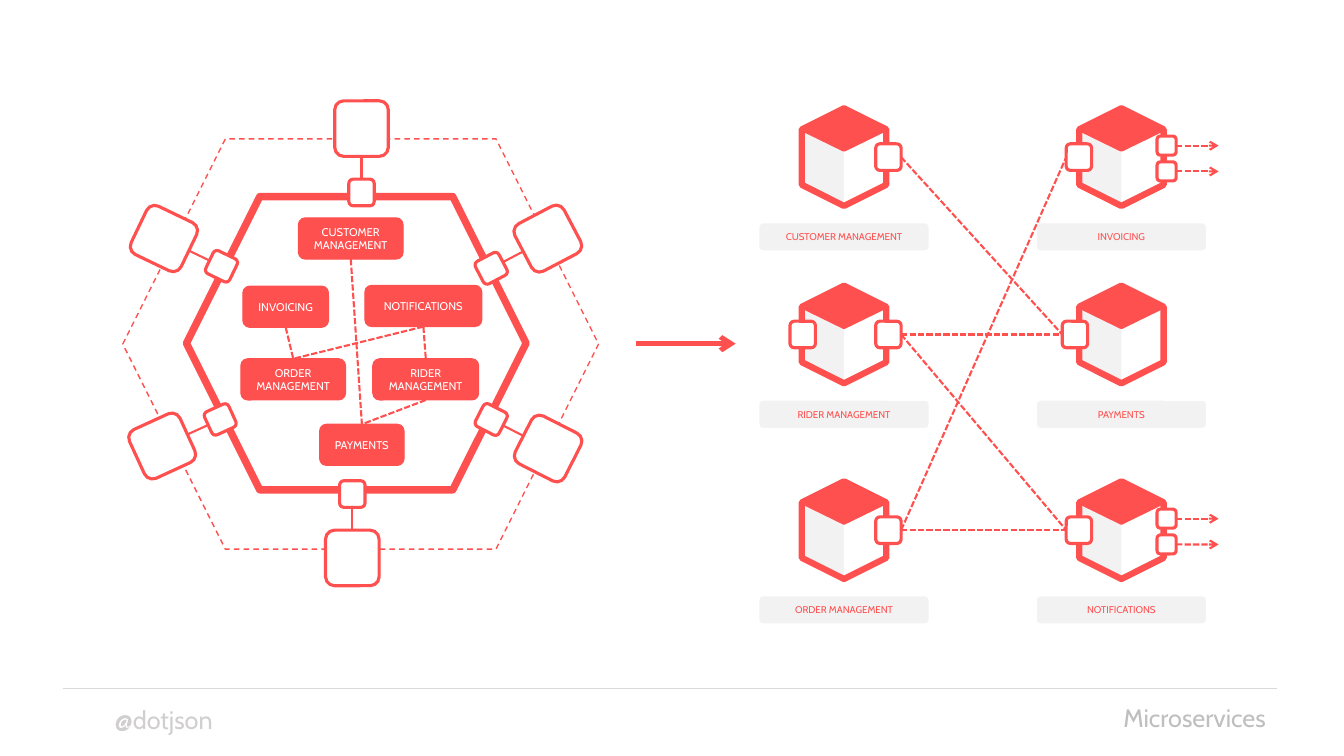
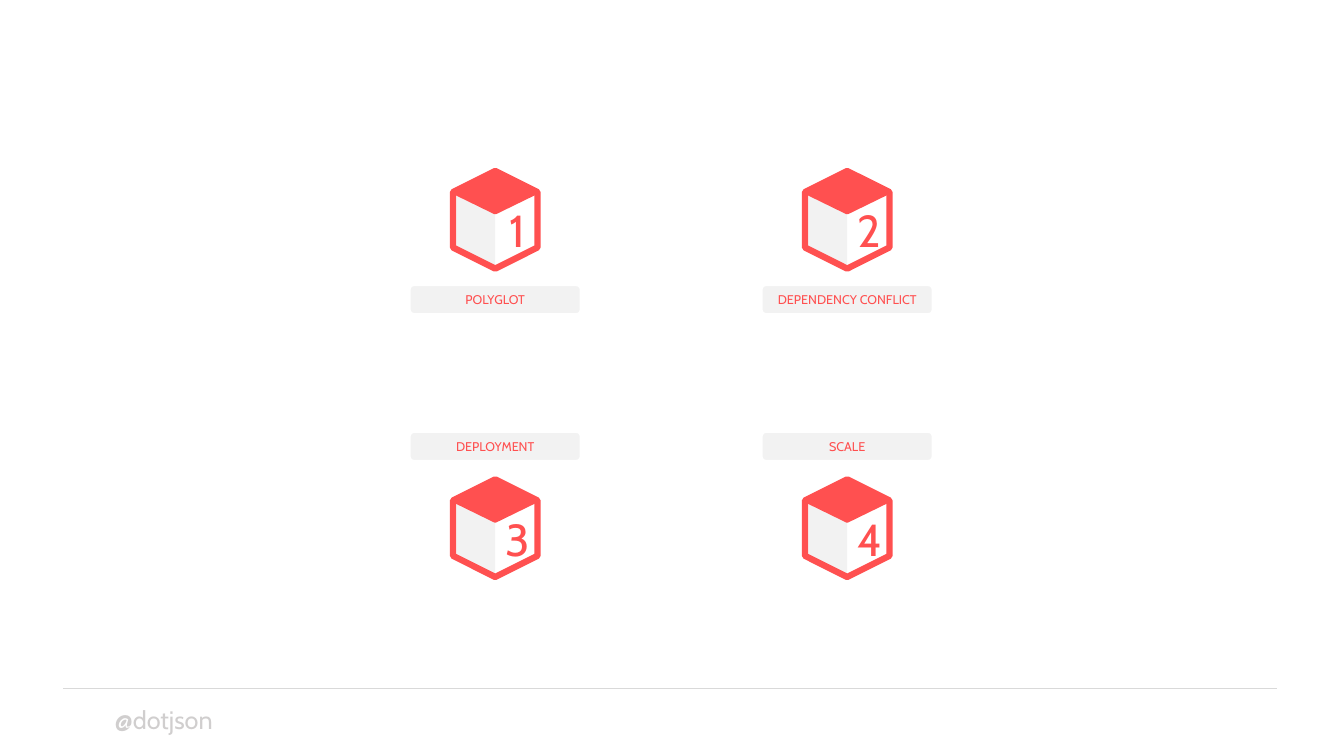
"""Build two slides on microservices: splitting a monolith, and four benefits."""
import math

import pptx
import pptx.dml.color
import pptx.enum.dml
import pptx.enum.shapes
import pptx.enum.text
import pptx.oxml.ns
import pptx.oxml.xmlchemy
import pptx.util

Cm = pptx.util.Cm
Pt = pptx.util.Pt
SHAPE = pptx.enum.shapes.MSO_SHAPE
ALIGN = pptx.enum.text.PP_ALIGN
DASH = pptx.enum.dml.MSO_LINE

RED = pptx.dml.color.RGBColor(0xFF, 0x50, 0x50)
WHITE = pptx.dml.color.RGBColor(0xFF, 0xFF, 0xFF)
PALE = pptx.dml.color.RGBColor(0xF2, 0xF2, 0xF2)
RULE = pptx.dml.color.RGBColor(0xD9, 0xD9, 0xD9)
HANDLE = pptx.dml.color.RGBColor(0xD0, 0xCE, 0xCE)
TOPIC = pptx.dml.color.RGBColor(0xBF, 0xBF, 0xBF)
FONT = "Cabin"

TOP, LEFT, BOTTOM, RIGHT = range(4)
PORT_SIZE = (0.64, 0.67)
OUTLET_SIZE = (0.48, 0.48)
ADAPTER_SIZE = (1.35, 1.4)
ADAPTER_DISTANCE = 1.61
OUTLET_OFFSETS = (-0.29, 0.36)
OUTLET_END = 30.71
FACE = ((0, 1.17), (0, -0.15), (-0.98, -0.61), (-0.98, 0.66))

COLUMNS = (21.27, 28.26)
ROWS = (3.96, 8.43, 13.36)
SERVICES = {
    "customer": ("CUSTOMER MANAGEMENT", 0, 0, {"right": 1.12}),
    "invoicing": ("INVOICING", 1, 0, {"left": -1.07}),
    "rider": ("RIDER MANAGEMENT", 0, 1, {"right": 1.12, "left": -1.04}),
    "order": ("ORDER MANAGEMENT", 0, 2, {"right": 1.12}),
    "payments": ("PAYMENTS", 1, 1, {"left": -1.17}),
    "notifications": ("NOTIFICATIONS", 1, 2, {"left": -1.07}),
}
SERVICE_LINKS = (
    ("rider", "payments"),
    ("customer", "payments"),
    ("order", "invoicing"),
    ("rider", "notifications"),
    ("order", "notifications"),
)
SERVICES_WITH_OUTLETS = ("notifications", "invoicing")

MODULES = {
    "customer": ("CUSTOMER MANAGEMENT", 8.84, 6.01, 2.64),
    "invoicing": ("INVOICING", 7.2, 7.73, 2.16),
    "notifications": ("NOTIFICATIONS", 10.67, 7.71, 2.95),
    "payments": ("PAYMENTS", 9.12, 11.21, 2.13),
    "order": ("ORDER MANAGEMENT", 7.39, 9.56, 2.64),
    "rider": ("RIDER MANAGEMENT", 10.73, 9.56, 2.67),
}
MODULE_LINKS = (
    ("rider", "payments"),
    ("invoicing", "order"),
    ("customer", "payments"),
    ("notifications", "rider"),
    ("notifications", "order"),
)
ADAPTERS = (
    (8.88, 12.45, 0),
    (12.38, 10.57, 297),
    (12.38, 6.76, 242.3),
    (5.55, 10.57, 65.4),
    (5.58, 6.71, 115.7),
    (9.11, 4.85, 180),
)

BENEFITS = ("POLYGLOT", "DEPENDENCY CONFLICT", "DEPLOYMENT", "SCALE")
BENEFIT_COLUMNS = (12.48, 21.35)
BENEFIT_ROWS = ((5.54, 2.01), (13.31, -2.06))


def write(shape, text, size, color, align=ALIGN.CENTER):
    """Put one formatted run into a shape."""
    frame = shape.text_frame
    frame.word_wrap = True
    frame.vertical_anchor = pptx.enum.text.MSO_ANCHOR.MIDDLE
    para = frame.paragraphs[0]
    para.alignment = align
    span = para.add_run()
    span.text = text
    span.font.size = Pt(size)
    span.font.name = FONT
    span.font.color.rgb = color


def add_text(page, left, top, width, height, *style):
    """Add a text box with one run."""
    box = page.shapes.add_textbox(Cm(left), Cm(top), Cm(width), Cm(height))
    write(box, *style)


def add_centred(page, kind, x, y, size, fill, line, weight, rotation=0):
    """Add a preset shape around its centre."""
    width, height = size
    shape = page.shapes.add_shape(
        kind, Cm(x - width / 2), Cm(y - height / 2), Cm(width), Cm(height))
    shape.shadow.inherit = False
    shape.rotation = rotation
    if fill is None:
        shape.fill.background()
    else:
        shape.fill.solid()
        shape.fill.fore_color.rgb = fill
    shape.line.color.rgb = line
    shape.line.width = Pt(weight)
    return shape


def add_port(page, x, y, size, rotation=0):
    """Add a white rounded square with a red outline."""
    return add_centred(page, SHAPE.ROUNDED_RECTANGLE, x, y, size, WHITE, RED, 2.25, rotation)


def add_line(page, start, end, color=RED, weight=1.5, dash=None, arrow=False):
    """Add a straight connector between two points in centimetres."""
    line = page.shapes.add_connector(
        pptx.enum.shapes.MSO_CONNECTOR.STRAIGHT, *map(Cm, start + end))
    line.line.color.rgb = color
    line.line.width = Pt(weight)
    if dash is not None:
        line.line.dash_style = dash
    properties = line._element.spPr
    if arrow:
        tail = pptx.oxml.xmlchemy.OxmlElement("a:tailEnd")
        tail.set("type", "arrow")
        properties.find(pptx.oxml.ns.qn("a:ln")).append(tail)
    properties.append(pptx.oxml.xmlchemy.OxmlElement("a:effectLst"))
    return line


def add_link(page, first, first_side, second, second_side):
    """Join two shapes with a dashed line."""
    line = add_line(page, (0, 0), (1, 1), dash=DASH.SQUARE_DOT)
    line.begin_connect(first, first_side)
    line.end_connect(second, second_side)


def add_cube(page, x, y, label, label_size, label_offset=2.01):
    """Add a cube and its name plate."""
    corners = [(Cm(x + dx), Cm(y + dy)) for dx, dy in FACE]
    builder = page.shapes.build_freeform(*corners[0])
    builder.add_line_segments(corners[1:], close=True)
    face = builder.convert_to_shape()
    face.shadow.inherit = False
    face.fill.solid()
    face.fill.fore_color.rgb = PALE
    face.line.fill.background()
    add_centred(page, SHAPE.HEXAGON, x, y, (2.46, 2.13), None, RED, 4.5, 90)
    lid = add_centred(page, SHAPE.HEXAGON, x, y - 0.71, (1.04, 2.13), RED, RED, 3, 90)
    lid.adjustments[0] = 0.5
    plate = add_centred(page, SHAPE.ROUNDED_RECTANGLE, x, y + label_offset,
                        (4.34, 0.76), PALE, WHITE, 2.25)
    write(plate, label, label_size, RED)


def add_page(deck):
    """Add a page with the shared footer."""
    page = deck.slides.add_slide(deck.slide_layouts[6])
    add_line(page, (1.6, 17.35), (32.18, 17.35), RULE, 1)
    add_text(page, 2.64, 17.63, 5.41, 1.02, "@dotjson", 18, HANDLE, ALIGN.LEFT)
    return page


def add_adapter(page, x, y, angle):
    """Add a port and the adapter that stands outward from it."""
    across, down = -math.sin(math.radians(angle)), math.cos(math.radians(angle))

    def outward(distance):
        return x + distance * across, y + distance * down

    port = add_port(page, x, y, PORT_SIZE, angle)
    adapter = add_port(page, *outward(ADAPTER_DISTANCE), ADAPTER_SIZE, angle)
    start = outward(PORT_SIZE[1] / 2)
    end = outward(ADAPTER_DISTANCE - ADAPTER_SIZE[1] / 2)
    line = add_line(page, start, end)
    line.begin_connect(port, BOTTOM)
    line.end_connect(adapter, TOP)
    line.begin_x, line.begin_y = map(Cm, start)
    line.end_x, line.end_y = map(Cm, end)


def add_monolith(page):
    """Draw the hexagonal monolith with its modules and adapters."""
    add_centred(page, SHAPE.HEXAGON, 8.98, 8.65, (8.56, 7.39), None, RED, 5.25)
    modules = {}
    for key, (label, x, y, width) in MODULES.items():
        modules[key] = add_centred(page, SHAPE.ROUNDED_RECTANGLE, x, y,
                                   (width, 1.04), RED, RED, 0.75)
        write(modules[key], label, 8, WHITE)
    for upper, lower in MODULE_LINKS:
        add_link(page, modules[upper], BOTTOM, modules[lower], TOP)
    border = add_centred(page, SHAPE.HEXAGON, 9.09, 8.67, (11.99, 10.34), None, RED, 1)
    border.line.dash_style = DASH.DASH
    for adapter in ADAPTERS:
        add_adapter(page, *adapter)


def add_services(page):
    """Draw the separate services and the calls between them."""
    ports = {}
    for key, (label, column, row, sides) in SERVICES.items():
        x, y = COLUMNS[column], ROWS[row]
        add_cube(page, x, y, label, 7)
        for side, offset in sides.items():
            ports[key, side] = add_port(page, x + offset, y, PORT_SIZE)
    for caller, target in SERVICE_LINKS:
        add_link(page, ports[caller, "right"], RIGHT, ports[target, "left"], LEFT)
    for key in SERVICES_WITH_OUTLETS:
        label, column, row, sides = SERVICES[key]
        for offset in OUTLET_OFFSETS:
            x, y = COLUMNS[column] + 1.14, ROWS[row] + offset
            outlet = add_port(page, x, y, OUTLET_SIZE)
            line = add_line(page, (x, y), (OUTLET_END, y), dash=DASH.SQUARE_DOT, arrow=True)
            line.begin_connect(outlet, RIGHT)


def add_benefits(page):
    """Draw the four numbered cubes."""
    for index, label in enumerate(BENEFITS):
        row, column = divmod(index, len(BENEFIT_COLUMNS))
        x = BENEFIT_COLUMNS[column]
        y, label_offset = BENEFIT_ROWS[row]
        add_cube(page, x, y, label, 9, label_offset)
        add_text(page, x - 0.73, y - 0.92, 2.59, 2.34, str(index + 1), 32, RED)


def main():
    """Build and save the deck."""
    deck = pptx.Presentation()
    deck.slide_width, deck.slide_height = Cm(33.87), Cm(19.05)
    split_page = add_page(deck)
    add_text(split_page, 23.06, 17.58, 9.09, 1.02, "Microservices", 18, TOPIC, ALIGN.RIGHT)
    add_services(split_page)
    add_monolith(split_page)
    add_line(split_page, (16.03, 8.66), (18.54, 8.66), weight=3.5, arrow=True)
    add_benefits(add_page(deck))
    deck.save("out.pptx")


if __name__ == "__main__":
    main()
